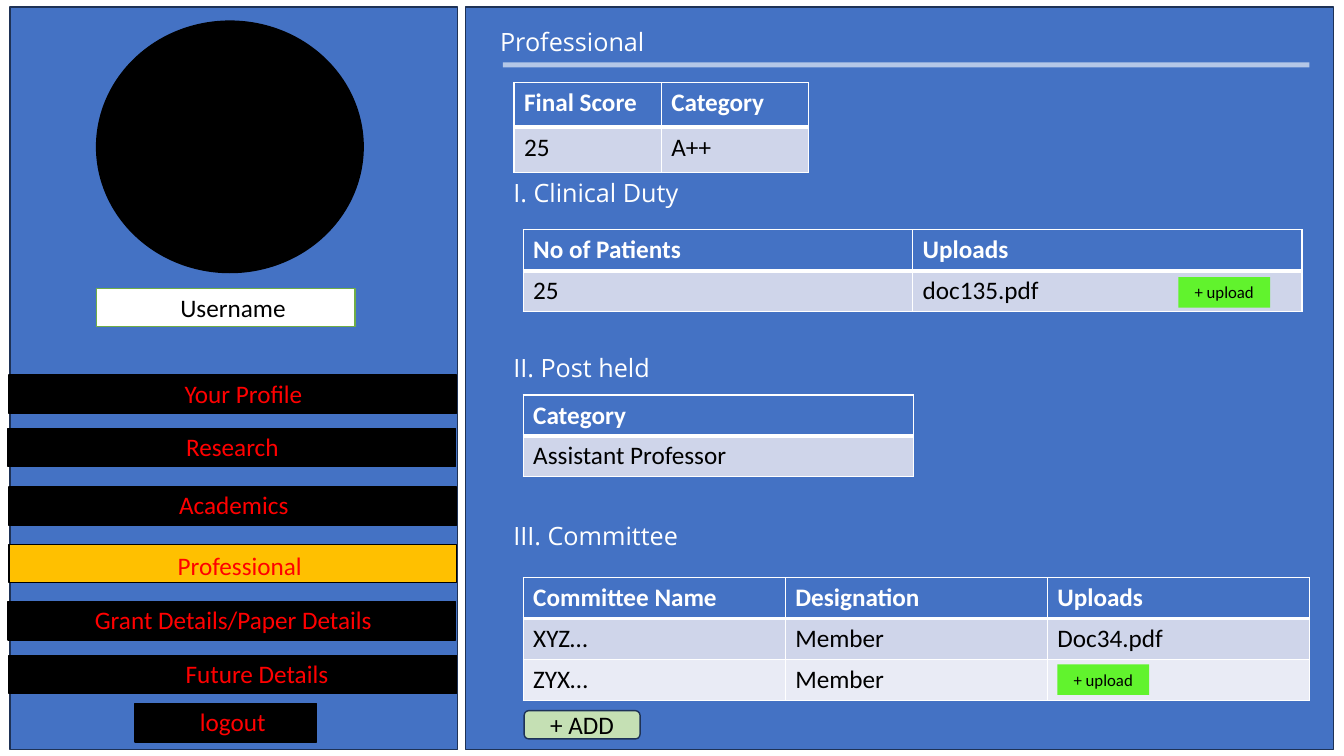
"""Build the faculty dashboard slide that shows the Professional section."""
from lxml import etree
from pptx import Presentation
from pptx.dml.color import RGBColor
from pptx.enum import shapes, text
from pptx.oxml import ns
from pptx.util import Pt

BLUE = RGBColor(0x44, 0x72, 0xC4)
NAVY = RGBColor(0x1E, 0x32, 0x56)
PALE_BLUE = RGBColor(0xB4, 0xC7, 0xE7)
BAND_DARK = RGBColor(0xCF, 0xD5, 0xEA)
BAND_LIGHT = RGBColor(0xE9, 0xEB, 0xF5)
WHITE = RGBColor(0xFF, 0xFF, 0xFF)
BLACK = RGBColor(0x00, 0x00, 0x00)
RED = RGBColor(0xFF, 0x00, 0x00)
GOLD = RGBColor(0xFF, 0xC0, 0x00)
GREEN = RGBColor(0x70, 0xAD, 0x47)
PALE_GREEN = RGBColor(0xC5, 0xE0, 0xB4)
LIME = RGBColor(0x61, 0xF3, 0x2D)

RECTANGLE = shapes.MSO_SHAPE.RECTANGLE
LEFT, CENTER = text.PP_ALIGN.LEFT, text.PP_ALIGN.CENTER
TOP, MIDDLE = text.MSO_ANCHOR.TOP, text.MSO_ANCHOR.MIDDLE


def write(frame, words, size=18, font="Calibri", color=BLACK, bold=False, align=LEFT, anchor=TOP):
    """Put one formatted paragraph into a text frame."""
    frame.word_wrap = True
    frame.vertical_anchor = anchor
    paragraph = frame.paragraphs[0]
    paragraph.alignment = align
    run = paragraph.add_run()
    run.text = words
    run.font.size = Pt(size)
    run.font.name = font
    run.font.bold = bold
    run.font.color.rgb = color


def add_box(left, top, width, height, fill, line=None, kind=RECTANGLE):
    """Add a filled shape without shadow."""
    shape = slide.shapes.add_shape(kind, Pt(left), Pt(top), Pt(width), Pt(height))
    shape.shadow.inherit = False
    shape.fill.solid()
    shape.fill.fore_color.rgb = fill
    if line is None:
        shape.line.fill.background()
    else:
        shape.line.color.rgb = line
        shape.line.width = Pt(1)
    return shape


presentation = Presentation()
presentation.slide_width = Pt(960)
presentation.slide_height = Pt(540)
slide = presentation.slides.add_slide(presentation.slide_layouts[5])

add_box(7.2, 5, 319.7, 530.6, BLUE, NAVY)
add_box(332.6, 5, 620, 530.6, BLUE, NAVY)
add_box(69, 15.1, 190.4, 179.6, BLACK, BLACK, shapes.MSO_SHAPE.OVAL)
add_box(69, 206.2, 184.6, 27.2, WHITE, GREEN)
username = slide.shapes.add_textbox(Pt(121.7), Pt(205.2), Pt(104.4), Pt(29))
write(username.text_frame, "Username")

menu = [
    ("Your Profile", 6.5, 267.8, 319.7, BLACK, 104.4, 266.4, 139),
    ("Research", 5.8, 306, 319.7, BLACK, 121.7, 304.6, 88.6),
    ("Academics", 6.5, 347.8, 319.7, BLACK, 118.8, 345.6, 96.5),
    ("Professional", 6.5, 388.8, 319.7, GOLD, 116.6, 389.5, 109.4),
    ("Grant Details/Paper Details", 5.8, 429.8, 319.7, BLACK, 15.1, 428.4, 303.1),
    ("Future Details", 6.5, 468, 319.7, BLACK, 118.8, 466.6, 129.6),
    ("logout", 96.5, 502.6, 129.6, BLACK, 118.1, 501.1, 96.5),
]
for words, bar_left, bar_top, bar_width, fill, left, top, width in menu:
    add_box(bar_left, bar_top, bar_width, 27.4, fill, BLACK)
    label = slide.shapes.add_textbox(Pt(left), Pt(top), Pt(width), Pt(29))
    write(label.text_frame, words, color=RED, align=CENTER)

title = slide.shapes.title
title.left, title.top, title.width, title.height = Pt(350), Pt(15.1), Pt(168.5), Pt(29)
write(title.text_frame, "Professional", font="Open Sans", color=WHITE)
slide.shapes.element.append(title.element)
add_box(359.3, 44.6, 576, 3.6, PALE_BLUE)

for words, top in [("I. Clinical Duty", 123.1), ("II. Post held", 248.4), ("III. Committee", 368.2)]:
    heading = slide.shapes.add_textbox(Pt(359.6), Pt(top), Pt(168.5), Pt(29))
    write(heading.text_frame, words, font="Open Sans", color=WHITE)

tables = [
    (367.2, 59, 105.1, 32, [["Final Score", "Category"], ["25", "A++"]]),
    (373.7, 164.2, 278.2, 29.2, [["No of Patients", "Uploads"], ["25", "doc135.pdf"]]),
    (373.7, 282.2, 278.6, 29.2, [["Category"], ["Assistant Professor"]]),
    (373.7, 412.6, 187.2, 29.2, [
        ["Committee Name", "Designation", "Uploads"],
        ["XYZ…", "Member", "Doc34.pdf"],
        ["ZYX…", "Member", ""],
    ]),
]
row_fills = [BLUE, BAND_DARK, BAND_LIGHT]
for left, top, column_width, row_height, rows in tables:
    row_count, column_count = len(rows), len(rows[0])
    table = slide.shapes.add_table(
        row_count, column_count, Pt(left), Pt(top),
        Pt(column_width * column_count), Pt(row_height * row_count),
    ).table
    for column in table.columns:
        column.width = Pt(column_width)
    for row_index, row in enumerate(rows):
        table.rows[row_index].height = Pt(row_height)
        for column_index, words in enumerate(row):
            cell = table.cell(row_index, column_index)
            properties = cell._tc.get_or_add_tcPr()
            for side in ("lnL", "lnR", "lnT", "lnB"):
                thick = (row_index, side) in [(0, "lnB"), (1, "lnT")]
                border = etree.SubElement(properties, ns.qn(f"a:{side}"), w=str(Pt(3 if thick else 1)))
                solid = etree.SubElement(border, ns.qn("a:solidFill"))
                etree.SubElement(solid, ns.qn("a:srgbClr"), val=str(WHITE))
            cell.fill.solid()
            cell.fill.fore_color.rgb = row_fills[row_index]
            if words:
                header = row_index == 0
                write(cell.text_frame, words, color=WHITE if header else BLACK, bold=header)

for left, top in [(841.7, 198), (755.3, 474.5)]:
    upload = add_box(left, top, 65.5, 21.8, LIME)
    write(upload.text_frame, "+ upload", size=12, align=CENTER)

add_button = add_box(374.4, 507.6, 82.8, 20.2, PALE_GREEN, NAVY, shapes.MSO_SHAPE.ROUNDED_RECTANGLE)
write(add_button.text_frame, "+ ADD", align=CENTER, anchor=MIDDLE)

presentation.save("out.pptx")
